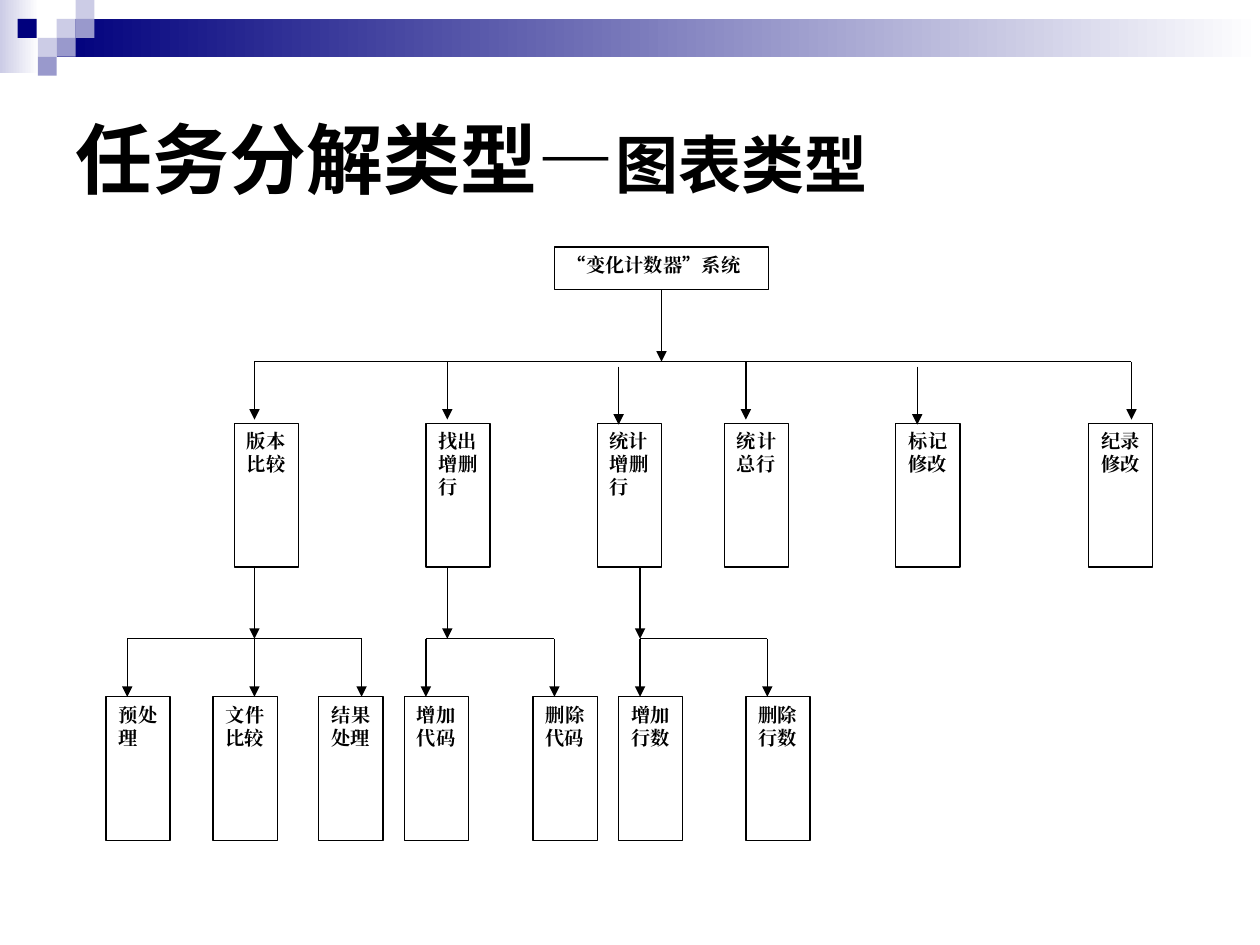
from lxml.etree import SubElement
from pptx import Presentation
from pptx.dml.color import RGBColor
from pptx.enum.shapes import MSO_CONNECTOR, MSO_SHAPE
from pptx.enum.text import MSO_ANCHOR, MSO_AUTO_SIZE, PP_ALIGN
from pptx.oxml.ns import qn
from pptx.util import Inches, Pt

THEME = {
    "black": "000000", "white": "FFFFFF",
    "navy": "00007D", "violet": "9999CC", "lilac": "CCCCE6",
    "heading_font": "Noto Sans CJK SC", "body_font": "Times New Roman",
    "title_size": 44, "subtitle_size": 36, "label_size": 11, "line_width": 0.75,
}
HEADING, BODY = THEME["heading_font"], THEME["body_font"]

# Content: a paragraph is a list of (text, font, size) runs
TITLE = [[("任务分解类型—", HEADING, THEME["title_size"]),
          ("图表类型", HEADING, THEME["subtitle_size"])]]
ROOT = [[(text, font, THEME["label_size"]) for text, font in
         (("“", HEADING), ("变化计数器", BODY), ("”", HEADING), ("系统", BODY))]]

# Tasks: box left, lines of the label, arrow x, gap from the bus to the arrow
TASKS = [
    (1.86, ["版本", "比较"], 2.02, 0),
    (3.38, ["找出", "增删行"], 3.55, 0),
    (4.74, ["统计", "增删行"], 4.91, 0.04),
    (5.75, ["统计总行"], 5.92, 0),
    (7.11, ["标记修改"], 7.28, 0.04),
    (8.64, ["纪录", "修改"], 8.98, 0),
]
# Subtasks: x of the arrow from the parent, then (box left, lines, arrow x)
SUBTASKS = [
    (2.02, [(0.84, ["预处理"], 1.01), (1.69, ["文件比较"], 2.02),
            (2.53, ["结果处理"], 2.87)]),
    (3.55, [(3.21, ["增加", "代码"], 3.38), (4.23, ["删除代码"], 4.4)]),
    (5.08, [(4.91, ["增加", "行数"], 5.08), (5.92, ["删除", "行数"], 6.09)]),
]

# Vertical levels and box size
TASK_BUS, TASK_TOP = 2.87, 3.36
SUBTASK_BUS, SUBTASK_TOP = 5.07, 5.53
BOX_WIDTH, BOX_HEIGHT = 0.51, 1.14
ARROW_LENGTH = 0.46

# Banner squares on a 0.15 inch grid: left, top, colour
SQUARE = 0.15
SQUARES = [
    (0.45, 0.15, "lilac"), (0.6, 0, "lilac"), (0.6, 0.15, "violet"),
    (0.3, 0.3, "lilac"), (0.14, 0.15, "navy"), (0.45, 0.3, "violet"),
    (0.3, 0.45, "violet"),
]


def color(name):
    return RGBColor.from_string(THEME[name])


def write_text(frame, paragraphs, *, align, anchor, bold=True, ink="black"):
    frame.word_wrap = True
    frame.auto_size = MSO_AUTO_SIZE.NONE
    frame.vertical_anchor = anchor
    for index, runs in enumerate(paragraphs):
        paragraph = frame.add_paragraph() if index else frame.paragraphs[0]
        paragraph.alignment = align
        for text, font_name, size in runs:
            run = paragraph.add_run()
            run.text = text
            run.font.name = font_name
            run.font.size = Pt(size)
            run.font.bold = bold
            run.font.color.rgb = color(ink)
            east_asian = SubElement(run.font._element, qn("a:ea"))
            east_asian.set("typeface", font_name)


def add_rectangle(slide, left, top, width, height, fill="white", fade=False):
    shape = slide.shapes.add_shape(
        MSO_SHAPE.RECTANGLE, *map(Inches, (left, top, width, height)))
    shape.shadow.inherit = False
    shape.line.fill.background()
    if fade:
        shape.fill.gradient()
        shape.fill.gradient_angle = 0
        for stop, name, position in zip(shape.fill.gradient_stops, (fill, "white"), (0, 1)):
            stop.color.rgb = color(name)
            stop.position = position
    else:
        shape.fill.solid()
        shape.fill.fore_color.rgb = color(fill)
    return shape


def add_box(slide, left, top, width, height, paragraphs):
    box = add_rectangle(slide, left, top, width, height)
    box.line.color.rgb = color("black")
    box.line.width = Pt(THEME["line_width"])
    write_text(box.text_frame, paragraphs, align=PP_ALIGN.JUSTIFY, anchor=MSO_ANCHOR.TOP)
    return box


def add_task_box(slide, left, top, lines):
    paragraphs = [[(line, BODY, THEME["label_size"])] for line in lines]
    return add_box(slide, left, top, BOX_WIDTH, BOX_HEIGHT, paragraphs)


def add_line(slide, start, end, arrow=False):
    connector = slide.shapes.add_connector(
        MSO_CONNECTOR.STRAIGHT, *map(Inches, (*start, *end)))
    connector.line.color.rgb = color("black")
    connector.line.width = Pt(THEME["line_width"])
    if arrow:
        SubElement(connector.line._get_or_add_ln(), qn("a:tailEnd"), type="triangle")
    SubElement(connector._element.spPr, qn("a:effectLst"))
    return connector


def add_bus(slide, arrow_positions, level):
    add_line(slide, (min(arrow_positions), level), (max(arrow_positions), level))


def main():
    presentation = Presentation()
    presentation.slide_width, presentation.slide_height = Inches(10), Inches(7.5)
    slide = presentation.slides.add_slide(presentation.slide_layouts[5])

    # Banner
    add_rectangle(slide, 0, 0, 0.31, 0.58, "lilac", fade=True)
    add_rectangle(slide, 0.45, 0.15, 9.55, 0.3, "navy", fade=True)
    for left, top, name in SQUARES:
        add_rectangle(slide, left, top, SQUARE, SQUARE, name)

    # Title
    title = slide.shapes.title
    title.left, title.top, title.width, title.height = map(Inches, (0.5, 0.5, 9, 1.5))
    write_text(title.text_frame, TITLE, align=PP_ALIGN.LEFT, anchor=MSO_ANCHOR.MIDDLE)

    # System box and its arrow
    root = add_box(slide, 4.4, 1.96, 1.7, 0.34, ROOT)
    trunk = add_line(slide, (5.25, 2.3), (5.25, TASK_BUS), arrow=True)
    trunk.begin_connect(root, 2)

    # Task level
    add_bus(slide, [x for _, _, x, _ in TASKS], TASK_BUS)
    for left, lines, x, gap in TASKS:
        add_task_box(slide, left, TASK_TOP, lines)
        start = TASK_BUS + gap
        add_line(slide, (x, start), (x, start + ARROW_LENGTH), arrow=True)

    # Subtask level
    for parent_x, children in SUBTASKS:
        add_line(slide, (parent_x, TASK_TOP + BOX_HEIGHT), (parent_x, SUBTASK_BUS), arrow=True)
        add_bus(slide, [x for _, _, x in children], SUBTASK_BUS)
        for left, lines, x in children:
            add_task_box(slide, left, SUBTASK_TOP, lines)
            add_line(slide, (x, SUBTASK_BUS), (x, SUBTASK_TOP), arrow=True)

    presentation.save("out.pptx")


if __name__ == "__main__":
    main()
